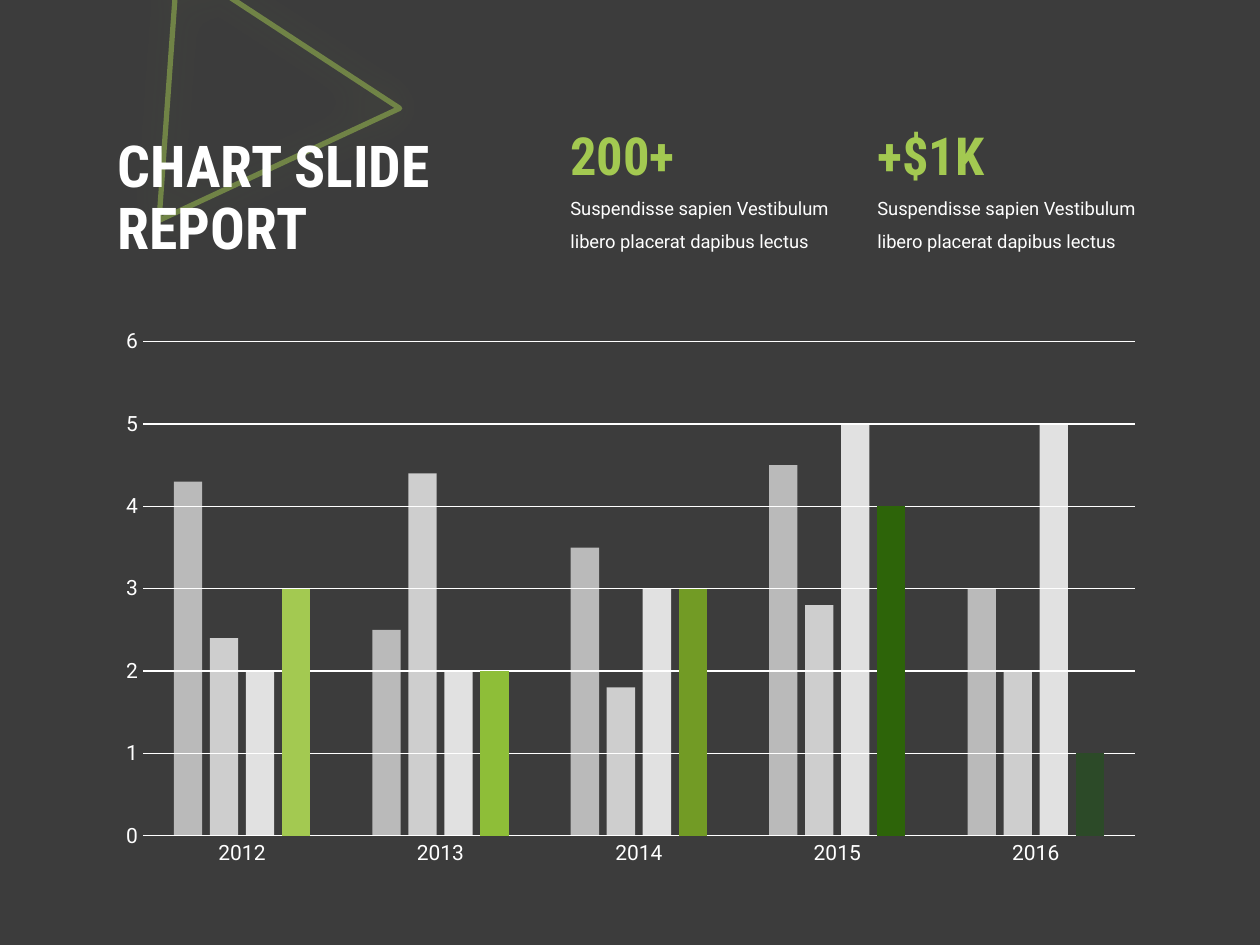
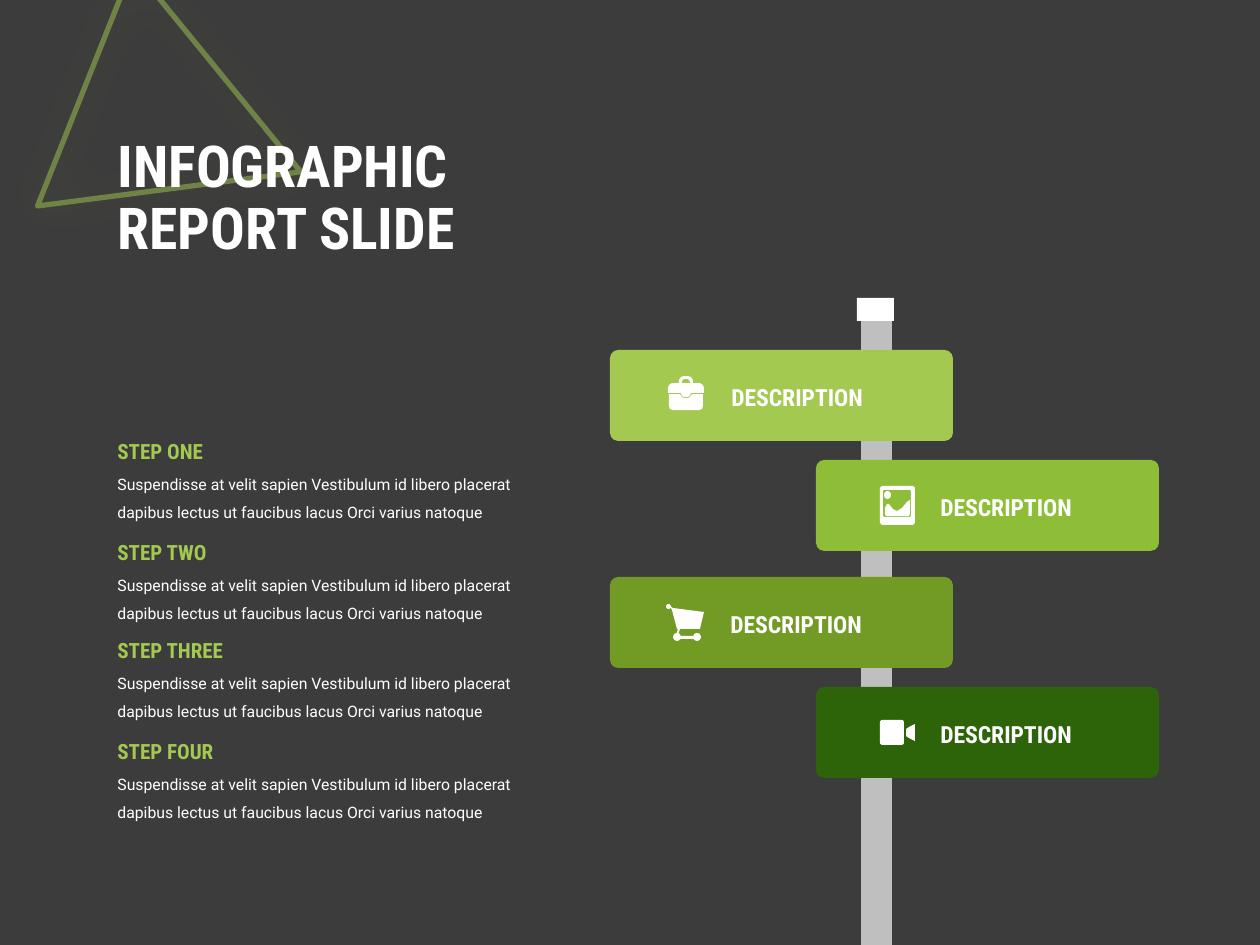
from lxml import etree
from pptx import Presentation
from pptx import util as u
from pptx.chart.data import CategoryChartData
from pptx.dml.color import RGBColor
from pptx.enum import chart as ch, shapes, text
from pptx.oxml.ns import qn

SCALE = u.Inches(1) / 126  # EMU in one px

DARK = RGBColor(0x3C, 0x3C, 0x3C)
WHITE = RGBColor(0xFF, 0xFF, 0xFF)
GRAY = RGBColor(0xBF, 0xBF, 0xBF)
LIME = RGBColor(0xA3, 0xC9, 0x51)
GREEN = RGBColor(0x8E, 0xBE, 0x38)
OLIVE = RGBColor(0x72, 0x9B, 0x25)
FOREST = RGBColor(0x2D, 0x64, 0x09)
PINE = RGBColor(0x2C, 0x4A, 0x28)

BODY = "Roboto"
HEAD = "Roboto Condensed"
RECT = shapes.MSO_SHAPE.RECTANGLE
ROUND = shapes.MSO_SHAPE.ROUNDED_RECTANGLE
OVAL = shapes.MSO_SHAPE.OVAL


def px(*values):
    return [u.Emu(round(v * SCALE)) for v in values]


def set_alpha(fill_format, percent):
    """Make a solid fill partly transparent."""
    color = fill_format._xPr.find(qn("a:solidFill"))[0]
    etree.SubElement(color, qn("a:alpha"), val=str(percent * 1000))


def set_font(font, size, color=WHITE, name=BODY, bold=False):
    font.size = u.Pt(size)
    font.name = name
    font.bold = bold
    font.color.rgb = color


class Deck:
    def __init__(self):
        self.prs = Presentation()
        self.prs.slide_width, self.prs.slide_height = px(1260, 945)
        fill = self.prs.slide_master.background.fill
        fill.solid()
        fill.fore_color.rgb = DARK
        self.s = None

    def slide(self, title, triangle_at, angle):
        """Start a slide with its glowing triangle and its title."""
        self.s = self.prs.slides.add_slide(self.prs.slide_layouts[5])
        self.triangle(*triangle_at, angle)
        sp = self.s.shapes.title
        self.s.shapes._spTree.append(sp._element)  # title above the triangle
        sp.left, sp.top, sp.width, sp.height = px(105, 100, 532, 199)
        tf = sp.text_frame
        tf.text = title
        tf.auto_size = text.MSO_AUTO_SIZE.NONE
        tf.vertical_anchor = text.MSO_ANCHOR.MIDDLE
        p = tf.paragraphs[0]
        p.alignment = text.PP_ALIGN.LEFT
        p.line_spacing = 0.9
        for r in p.runs:
            set_font(r.font, 33, WHITE, HEAD, True)

    def triangle(self, x, y, angle):
        sp = self.s.shapes.add_shape(
            shapes.MSO_SHAPE.ISOSCELES_TRIANGLE, *px(x, y, 258, 232))
        sp.rotation = angle
        sp.fill.background()
        sp.line.color.rgb = LIME
        sp.line.width = u.Pt(3)
        set_alpha(sp.line.fill, 50)
        sp.shadow.inherit = False
        effects = sp._element.spPr.find(qn("a:effectLst"))
        glow = etree.SubElement(effects, qn("a:outerShdw"),
                                blurRad=str(u.Pt(25)), dist="0", dir="0",
                                algn="ctr", rotWithShape="0")
        color = etree.SubElement(glow, qn("a:srgbClr"), val=str(LIME))
        etree.SubElement(color, qn("a:alpha"), val="35000")

    def paint(self, sp, color):
        sp.fill.solid()
        sp.fill.fore_color.rgb = color
        sp.line.fill.background()
        sp.shadow.inherit = False
        return sp

    def shape(self, kind, box, color=WHITE, corner=None):
        sp = self.paint(self.s.shapes.add_shape(kind, *px(*box)), color)
        if corner is not None:
            sp.adjustments[0] = corner
        return sp

    def outline(self, *contours):
        """Draw a white outline; contours after the first are holes."""
        first, *holes = contours
        fb = self.s.shapes.build_freeform(*first[0], scale=SCALE)
        fb.add_line_segments(first[1:])
        for hole in holes:
            fb.move_to(*hole[0])
            fb.add_line_segments(hole[1:])
        return self.paint(fb.convert_to_shape(), WHITE)

    def text(self, words, box, spacing=None, **style):
        tf = self.s.shapes.add_textbox(*px(*box)).text_frame
        tf.word_wrap = True
        tf.auto_size = text.MSO_AUTO_SIZE.SHAPE_TO_FIT_TEXT
        tf.text = words
        p = tf.paragraphs[0]
        if spacing:
            p.line_spacing = spacing
        set_font(p.runs[0].font, **style)

    def heading(self, words, box, size, color=LIME):
        self.text(words, box, size=size, color=color, name=HEAD, bold=True)

    def column_chart(self, box, cats, series, fills, point_colors):
        data = CategoryChartData()
        data.categories = cats
        for i, values in enumerate(series, 1):
            data.add_series(f"Series {i}", values)
        chart = self.s.shapes.add_chart(
            ch.XL_CHART_TYPE.COLUMN_CLUSTERED, *px(*box), data).chart
        chart.has_legend = chart.has_title = False
        set_font(chart.font, 10)

        # Axes
        cat, val = chart.category_axis, chart.value_axis
        for axis in (cat, val):
            axis.major_tick_mark = axis.minor_tick_mark = ch.XL_TICK_MARK.NONE
            set_font(axis.tick_labels.font, 12)
        val.minimum_scale, val.maximum_scale, val.major_unit = 0, 6, 1
        val.format.line.fill.background()
        val.has_major_gridlines = True
        for line in (cat.format.line, val.major_gridlines.format.line):
            line.color.rgb = WHITE
            line.width = u.Pt(0.75)

        # Columns
        plot = chart.plots[0]
        plot.gap_width, plot.overlap = 219, -27
        plot.vary_by_categories = False
        for ser, (color, alpha) in zip(plot.series, fills):
            ser.invert_if_negative = False
            ser.format.fill.solid()
            ser.format.fill.fore_color.rgb = color
            if alpha < 100:
                set_alpha(ser.format.fill, alpha)
        for i, color in enumerate(point_colors, 1):
            fill = plot.series[-1].points[i].format.fill
            fill.solid()
            fill.fore_color.rgb = color


def briefcase(d):
    d.outline([(669, 394), (680, 394), (682, 397), (684, 398), (688, 398),
               (690, 397), (692, 394), (703, 394), (703, 406), (702, 409),
               (699, 410), (673, 410), (670, 409), (669, 406)])
    d.outline([(668, 393), (668, 388), (669, 385), (672, 383), (679, 383),
               (679, 380), (681, 377), (684, 376), (688, 376), (691, 377),
               (693, 380), (693, 383), (700, 383), (703, 385), (704, 388),
               (704, 393), (691, 393), (690, 396), (688, 397), (684, 397),
               (682, 396), (681, 393)],
              [(682, 383), (682, 381), (684, 379), (688, 379), (690, 381),
               (690, 383)])


def photo(d):
    d.outline([(910, 500), (907, 502), (902, 508), (897, 511), (893, 509),
               (889, 504), (887, 504), (885, 508), (885, 514), (886, 516),
               (909, 516), (910, 514)])
    d.shape(OVAL, (884, 491, 7, 8))
    d.outline([(882, 486), (913, 486), (915, 488), (915, 523), (913, 525),
               (882, 525), (880, 523), (880, 488)],
              [(884, 490), (910, 490), (911, 491), (911, 516), (910, 517),
               (884, 517), (883, 516), (883, 491)])


def cart(d):
    d.outline([(670, 606), (673, 608), (704, 612), (700, 629), (680, 629),
               (678, 635), (676, 635), (678, 629), (677, 629), (672, 610)])
    d.shape(RECT, (677, 636, 20, 3))
    d.shape(OVAL, (666, 604, 5, 5))
    for x in (673, 693):
        d.shape(OVAL, (x, 633, 8, 8))


def camera(d):
    d.shape(ROUND, (880, 720, 24, 25), corner=0.1)
    d.outline([(915, 724), (909, 727), (906, 729), (906, 736), (909, 738),
               (915, 741)])


def chart_slide(d):
    d.slide("CHART SLIDE\vREPORT", (155, -16), 94.1)
    d.column_chart(
        (105, 318, 1051, 559), ["2012", "2013", "2014", "2015", "2016"],
        [(4.3, 2.5, 3.5, 4.5, 3), (2.4, 4.4, 1.8, 2.8, 2),
         (2, 2, 3, 5, 5), (3, 2, 3, 4, 1)],
        [(WHITE, 65), (WHITE, 75), (WHITE, 85), (LIME, 100)],
        [GREEN, OLIVE, FOREST, PINE])

    # Key figures
    for x, figure in ((558, "200+"), (865, "+$1K")):
        d.text("Suspendisse sapien Vestibulum libero placerat dapibus lectus",
               (x, 180, 311, 76), spacing=1.5, size=10.5)
        d.heading(figure, (x, 117, 169, 77), 30)


def signpost_slide(d):
    d.slide("INFOGRAPHIC\vREPORT SLIDE", (64, 13), 111.7)

    # Post and its cap
    d.shape(RECT, (861, 312, 31, 654), GRAY)
    d.shape(RECT, (857, 298, 37, 23))

    # Signs: left, top, colour, icon, label left
    for x, y, color, icon, label_x in (
            (610, 350, LIME, briefcase, 719), (816, 460, GREEN, photo, 928),
            (610, 577, OLIVE, cart, 718), (816, 687, FOREST, camera, 928)):
        d.shape(ROUND, (x, y, 343, 91), color, corner=0.09)
        icon(d)
        d.heading("DESCRIPTION", (label_x, y + 27, 178, 42), 13.5, WHITE)

    # Steps
    for y, number in ((432, "ONE"), (533, "TWO"), (631, "THREE"), (732, "FOUR")):
        d.text("Suspendisse at velit sapien Vestibulum id libero placerat "
               "dapibus lectus ut faucibus lacus Orci varius natoque",
               (105, y + 27, 425, 67), spacing=1.5, size=9)
        d.heading(f"STEP {number}", (105, y, 232, 38), 12)


def main():
    d = Deck()
    chart_slide(d)
    signpost_slide(d)
    d.prs.save("out.pptx")


if __name__ == "__main__":
    main()
